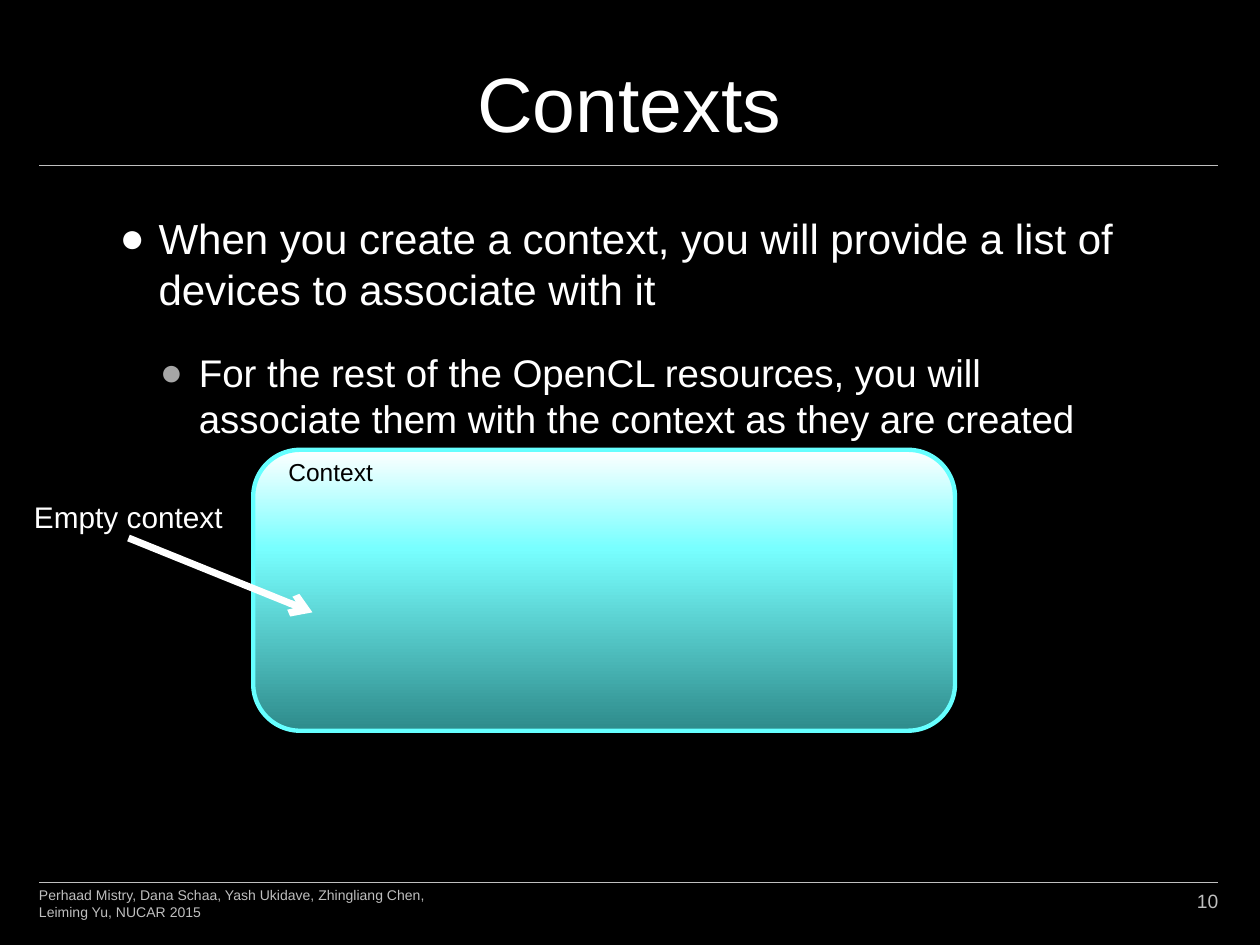
from lxml import etree
from pptx import Presentation
from pptx import util as u
from pptx.dml.color import RGBColor
from pptx.enum import shapes, text
from pptx.oxml import parse_xml
from pptx.oxml.ns import nsdecls, qn

COLORS = {"back": "000000", "ink": "FFFFFF", "muted": "BFBFBF", "bullet": "A6A6A6",
          "edge": "66FFFF", "deep": "2E8B8B", "bright": "78FFFF"}
FONT = "Arial"
WIDTH, HEIGHT = u.Inches(10), u.Inches(7.5)
MARGIN, RULE_WIDTH = 0.31, 9.36
BULLETS = [("When you create a context, you will provide a list of devices to associate with it",
            24, 0.31, "ink"),
           ("For the rest of the OpenCL resources, you will associate them with the context "
            "as they are created", 22, 0.63, "bullet")]


def rgb(name):
    """Return the named colour."""
    return RGBColor.from_string(COLORS[name])


def style(paragraph, size, color, align=text.PP_ALIGN.LEFT):
    """Format a paragraph and its runs."""
    paragraph.alignment = align
    for run in paragraph.runs:
        run.font.name, run.font.size = FONT, u.Pt(size)
        run.font.color.rgb = rgb(color)


def set_frame(frame, anchor=text.MSO_ANCHOR.TOP, inset=(0.1, 0.05), wrap=True):
    """Set anchor, insets and wrapping of a text frame."""
    frame.auto_size = text.MSO_AUTO_SIZE.NONE
    frame.vertical_anchor, frame.word_wrap = anchor, wrap
    frame.margin_left = frame.margin_right = u.Inches(inset[0])
    frame.margin_top = frame.margin_bottom = u.Inches(inset[1])


def add_label(slide, box, words, size, color, align=text.PP_ALIGN.LEFT, **layout):
    """Add one text box with a single paragraph."""
    frame = slide.shapes.add_textbox(*map(u.Inches, box)).text_frame
    set_frame(frame, **layout)
    frame.text = words
    style(frame.paragraphs[0], size, color, align)


def add_line(slide, start, end, color, weight):
    """Add a straight line without a shadow."""
    line = slide.shapes.add_connector(shapes.MSO_CONNECTOR.STRAIGHT,
                                      *map(u.Inches, (*start, *end)))
    line.line.color.rgb, line.line.width = rgb(color), u.Pt(weight)
    etree.SubElement(line._element.spPr, qn("a:effectLst"))
    return line


def add_title(slide, box, words):
    """Place and format the title placeholder."""
    title = slide.shapes.title
    title.left, title.top, title.width, title.height = map(u.Inches, box)
    title.text_frame.text = words
    set_frame(title.text_frame, anchor=text.MSO_ANCHOR.BOTTOM)
    style(title.text_frame.paragraphs[0], 44, "ink", text.PP_ALIGN.CENTER)


def add_bullets(slide, box):
    """Add the bulleted statements."""
    frame = slide.shapes.add_textbox(*map(u.Inches, box)).text_frame
    set_frame(frame)
    frame.text = "\n".join(words for words, *_ in BULLETS)
    for level, (paragraph, (_, size, indent, color)) in enumerate(
            zip(frame.paragraphs, BULLETS)):
        style(paragraph, size, "ink")
        paragraph.level, paragraph.space_before = level, u.Pt(20)
        props = paragraph._p.get_or_add_pPr()
        props.set("marL", str(u.Inches(indent)))
        props.set("indent", str(-u.Inches(0.31)))
        bullet_color = etree.SubElement(props, qn("a:buClr"))
        etree.SubElement(bullet_color, qn("a:srgbClr"), val=COLORS[color])
        etree.SubElement(props, qn("a:buFont"), typeface=FONT)
        etree.SubElement(props, qn("a:buChar"), char="●")


def add_context(slide, box):
    """Add the context panel, its caption and the arrow that points into it."""
    left, top, width, height = box
    panel = slide.shapes.add_shape(shapes.MSO_SHAPE.ROUNDED_RECTANGLE, *map(u.Inches, box))
    panel.shadow.inherit = False
    panel.line.color.rgb, panel.line.width = rgb("edge"), u.Pt(2.5)
    stops = "".join(f'<a:gs pos="{share * 1000}"><a:srgbClr val="{COLORS[name]}"/></a:gs>'
                    for share, name in ((0, "deep"), (65, "bright"), (100, "ink")))
    panel._element.spPr.find(qn("a:prstGeom")).addnext(parse_xml(
        f'<a:gradFill {nsdecls("a")} rotWithShape="1"><a:gsLst>{stops}</a:gsLst>'
        '<a:lin ang="16200000" scaled="0"/></a:gradFill>'))
    add_label(slide, (left + 0.18, top + 0.01, 0.88, 0.34), "Context", 14, "back", wrap=False)
    add_label(slide, (left - 1.81, top + 0.35, 1.64, 0.35), "Empty context", 17, "ink",
              inset=(0.07, 0.04))
    arrow = add_line(slide, (left - 0.99, top + 0.7), (left + 0.47, top + 1.29), "ink", 4)
    etree.SubElement(arrow.line._get_or_add_ln(), qn("a:tailEnd"), type="arrow")


def add_footer(slide, box):
    """Add the credits on the left and the page number on the right."""
    left, top, width, height = box
    add_label(slide, (left + width - 0.83, top, 0.83, height), "10", 11, "muted",
              text.PP_ALIGN.RIGHT, anchor=text.MSO_ANCHOR.MIDDLE, inset=(0, 0.05))
    add_label(slide, (left, top, 3.17, height),
              "Perhaad Mistry, Dana Schaa, Yash Ukidave, Zhingliang Chen, "
              "Leiming Yu, NUCAR 2015", 8, "muted",
              anchor=text.MSO_ANCHOR.BOTTOM, inset=(0, 0.05))


def main():
    """Build the slide and save it."""
    deck = Presentation()
    deck.slide_width, deck.slide_height = WIDTH, HEIGHT
    slide = deck.slides.add_slide(deck.slide_layouts[5])
    slide.background.fill.solid()
    slide.background.fill.fore_color.rgb = rgb("back")
    for height in (1.31, 7):
        add_line(slide, (MARGIN, height), (MARGIN + RULE_WIDTH, height), "muted", 0.25)
    add_title(slide, (0.7, 0.12, 8.59, 1.1), "Contexts")
    add_bullets(slide, (0.85, 1.64, 8.29, 5.39))
    add_context(slide, (2.01, 3.57, 5.57, 2.23))
    add_footer(slide, (MARGIN, 6.95, RULE_WIDTH, 0.4))
    deck.save("out.pptx")


if __name__ == "__main__":
    main()
